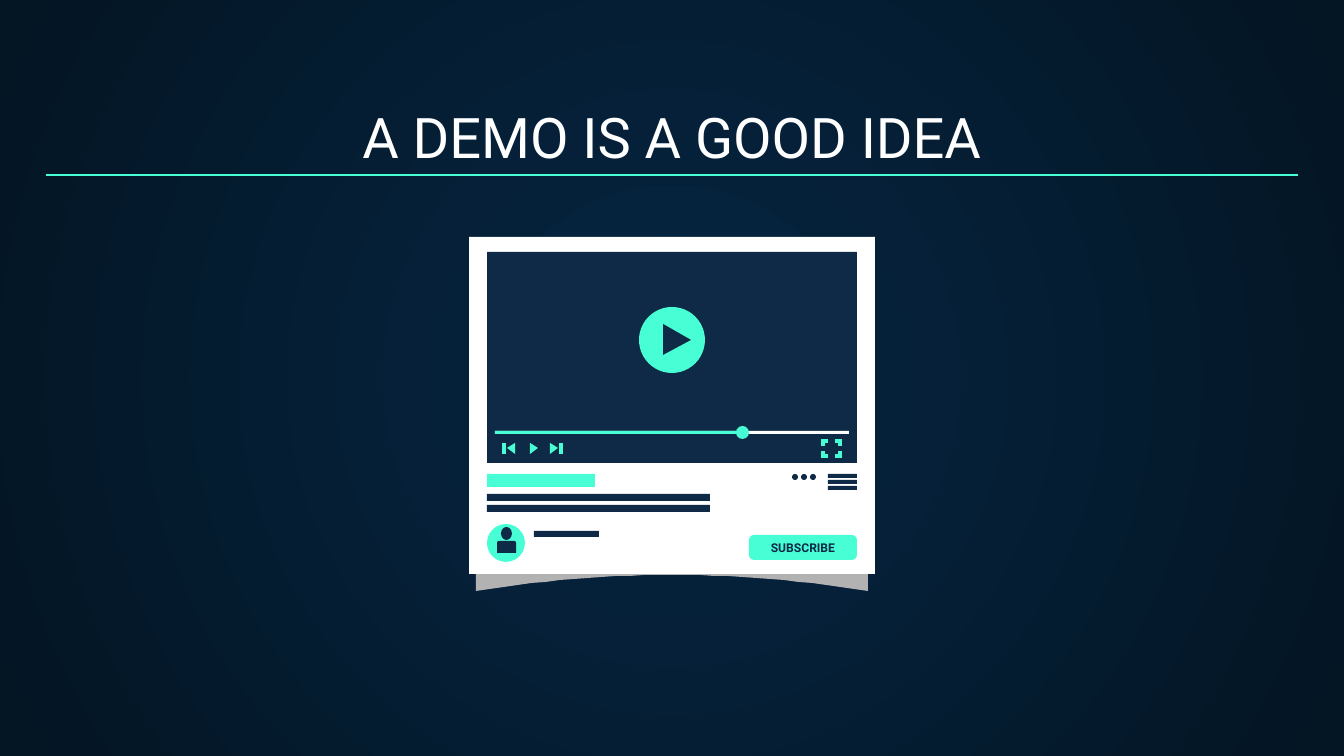
"""Build the demo slide with a flat drawing of a video player page."""
from lxml import etree
from pptx import Presentation
from pptx import util as u
from pptx.dml.color import RGBColor
from pptx.enum import shapes, text
from pptx.oxml.ns import qn

PX = 914400 / 134.4
FONT = "Roboto"
COLORS = {"white": "FFFFFF", "navy": "0E2A47", "mint": "48FFD5", "gray": "B3B2B2",
          "glow": "052643", "edge": "041523"}
TITLE = ("A DEMO IS A GOOD IDEA", (46, 94, 1252, 89))
RULE = ((46, 175), (1298, 175))
KINDS = {"rect": shapes.MSO_SHAPE.RECTANGLE, "oval": shapes.MSO_SHAPE.OVAL,
         "round": shapes.MSO_SHAPE.ROUNDED_RECTANGLE,
         "shoulders": shapes.MSO_SHAPE.ROUND_2_SAME_RECTANGLE}
SHADOW = {"left": 476, "right": 868, "top": 300, "edge": 591, "middle": 575}
PLAYER = [
    ("rect", "white", (469, 237, 406, 337)),
    ("rect", "navy", (487, 252, 370, 211)),
    ("rect", "white", (495, 431, 354, 3)),
    ("rect", "mint", (495, 431, 248, 3)),
    ("oval", "mint", (639, 307, 66, 66)),
    ("oval", "mint", (736, 426, 13, 13)),
]
DETAILS = [
    ("rect", "mint", (487, 474, 108, 13)),
    ("rect", "navy", (487, 494, 223, 7)),
    ("rect", "navy", (487, 505, 223, 7)),
    ("rect", "navy", (534, 531, 65, 6)),
    ("oval", "mint", (487, 524, 38, 38)),
    ("oval", "navy", (501, 527, 11, 13)),
    ("shoulders", "navy", (497, 541, 19, 12)),
]
MENU = [("rect", "navy", (828, 474 + 6 * i, 29, 4)) for i in range(3)]
DOTS = [("oval", "navy", (792 + 9 * i, 474, 6, 6)) for i in range(3)]
BUTTON = ("SUBSCRIBE", (749, 535, 108, 25))
TRIANGLES = [("navy", 663, 691, 324, 355), ("mint", 530, 538, 443, 454),
             ("mint", 550, 558, 443, 454), ("mint", 515, 507, 443, 454)]
SKIP_BARS = [504, 561]
CORNERS = {"x": [(823, 828), (840, 835)], "y": [(441, 446), (456, 451)]}


def px(value):
    return u.Emu(round(value * PX))


def color(name):
    return RGBColor.from_string(COLORS[name])


def paint(shape, name):
    shape.shadow.inherit = False
    shape.fill.solid()
    shape.fill.fore_color.rgb = color(name)
    shape.line.fill.background()
    return shape


def draw(slide, kind, name, box):
    return paint(slide.shapes.add_shape(KINDS[kind], *map(px, box)), name)


def outline(slide, points, close=True):
    builder = slide.shapes.build_freeform(*points[0], scale=PX)
    builder.add_line_segments(points[1:], close=close)
    return builder.convert_to_shape()


def stroke(line, width):
    line.color.rgb = color("mint")
    line.width = u.Pt(width)


def connect(slide, start, end, width):
    line = slide.shapes.add_connector(shapes.MSO_CONNECTOR.STRAIGHT,
                                      *map(px, start + end))
    stroke(line.line, width)
    etree.SubElement(line._element.spPr, qn("a:effectLst"))


def write(shape, words, size, name, anchor, margin, bold=False):
    frame = shape.text_frame
    settings = {"word_wrap": True, "auto_size": text.MSO_AUTO_SIZE.NONE,
                "vertical_anchor": anchor}
    settings.update({f"margin_{side}": px(margin)
                     for side in ("left", "right", "top", "bottom")})
    for key, value in settings.items():
        setattr(frame, key, value)
    para = frame.paragraphs[0]
    para.alignment = text.PP_ALIGN.CENTER
    span = para.add_run()
    span.text = words
    for key, value in {"name": FONT, "size": u.Pt(size), "bold": bold}.items():
        setattr(span.font, key, value)
    span.font.color.rgb = color(name)


def fill_background(slide):
    fill = slide.background.fill
    fill.gradient()
    for stop, name in zip(fill.gradient_stops, ("glow", "edge")):
        stop.color.rgb = color(name)
    linear = next(slide._element.iter(qn("a:lin")))
    gradient = linear.getparent()
    gradient.remove(linear)
    circle = etree.SubElement(gradient, qn("a:path"), {"path": "circle"})
    etree.SubElement(circle, qn("a:fillToRect"), dict.fromkeys("ltrb", "50000"))


def draw_shadow(slide):
    left, right, top, edge, middle = SHADOW.values()
    steps = 28
    curve = [(left + (right - left) * i / steps,
              middle + (edge - middle) * (2 * i / steps - 1) ** 2)
             for i in range(steps + 1)]
    paint(outline(slide, [(right, top), (left, top)] + curve), "gray")


def draw_controls(slide):
    for name, base, tip, top, bottom in TRIANGLES:
        points = [(base, top), (base, bottom), (tip, (top + bottom) / 2)]
        paint(outline(slide, points), name)
    for x in SKIP_BARS:
        connect(slide, (x, 443), (x, 454), 2.45)
    for x, x_end in CORNERS["x"]:
        for y, y_end in CORNERS["y"]:
            corner = outline(slide, [(x, y_end), (x, y), (x_end, y)], close=False)
            corner.shadow.inherit = False
            corner.fill.background()
            stroke(corner.line, 2.45)
            etree.SubElement(corner.line._ln, qn("a:miter"), {"lim": "800000"})


def main():
    deck = Presentation()
    deck.slide_width, deck.slide_height = px(1344), px(756)
    slide = deck.slides.add_slide(deck.slide_layouts[5])
    fill_background(slide)

    words, box = TITLE
    title = slide.shapes.title
    for key, value in zip(("left", "top", "width", "height"), box):
        setattr(title, key, px(value))
    write(title, words, 30, "white", text.MSO_ANCHOR.BOTTOM, 13)

    draw_shadow(slide)
    for part in PLAYER + DETAILS + MENU + DOTS:
        draw(slide, *part)
    draw_controls(slide)

    words, box = BUTTON
    button = draw(slide, "round", "mint", box)
    button.adjustments[0] = 0.2
    write(button, words, 6.5, "navy", text.MSO_ANCHOR.MIDDLE, 0, bold=True)
    connect(slide, *RULE, 0.75)
    deck.save("out.pptx")


if __name__ == "__main__":
    main()
